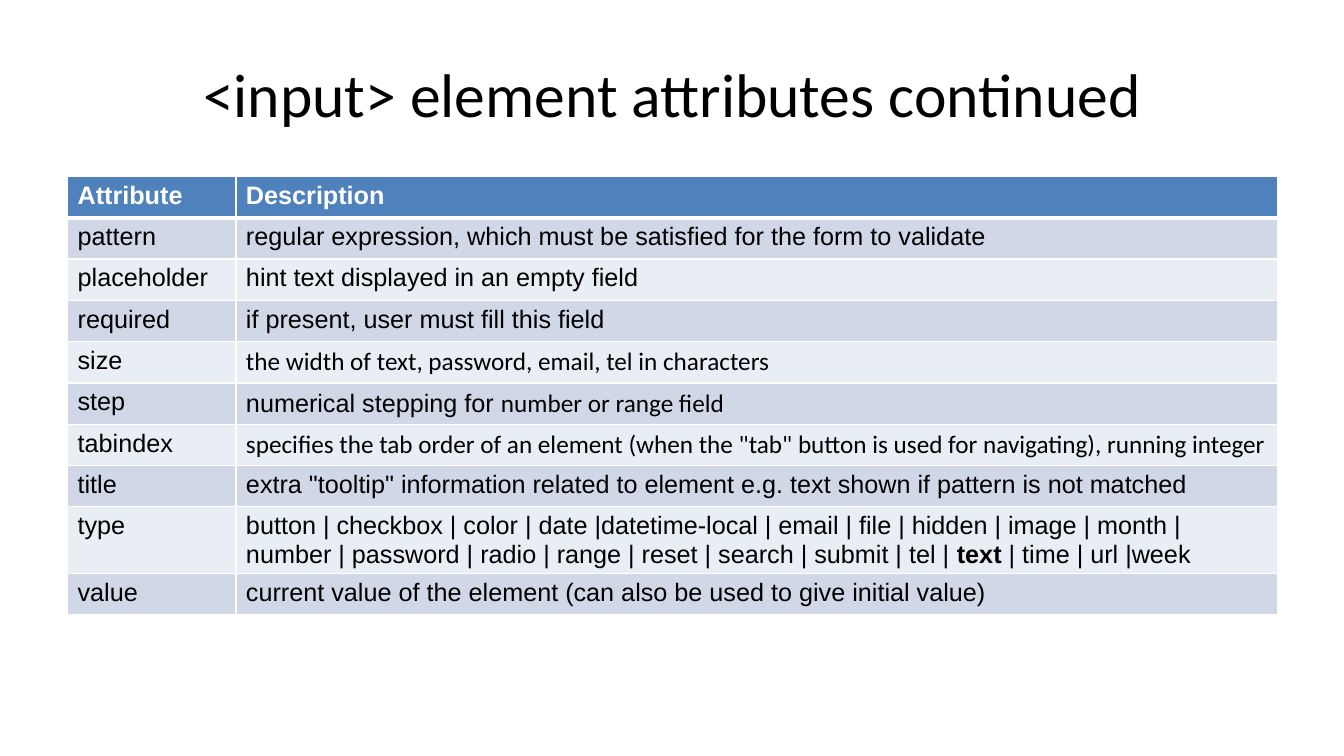
"""Build a slide with a table of further input element attributes."""
import pptx
import pptx.util
import pptx.dml.color
import pptx.enum.text
import pptx.oxml
import pptx.oxml.ns

Inches = pptx.util.Inches
RGBColor = pptx.dml.color.RGBColor
BLACK = RGBColor(0x00, 0x00, 0x00)
WHITE = RGBColor(0xFF, 0xFF, 0xFF)
BLUE = RGBColor(0x4F, 0x81, 0xBD)
DARK = RGBColor(0xD0, 0xD8, 0xE8)
LIGHT = RGBColor(0xE9, 0xED, 0xF4)
SANS, BODY = "Arial", "Calibri"

ROWS = [
    ("Attribute", [("Description", SANS, True)]),
    ("pattern", [("regular expression, which must be satisfied for the form to validate", SANS, False)]),
    ("placeholder", [("hint text displayed in an empty field", SANS, False)]),
    ("required", [("if present, user must fill this field", SANS, False)]),
    ("size", [("the width of text, password, email, tel in characters", BODY, False)]),
    ("step", [("numerical stepping for ", SANS, False), ("number or range field", BODY, False)]),
    ("tabindex", [('specifies the tab order of an element (when the "tab" button is used '
                   "for navigating), running integer", BODY, False)]),
    ("title", [('extra "tooltip" information related to element e.g. text shown if '
                "pattern is not matched", SANS, False)]),
    ("type", [("button | checkbox | color | date |datetime-local | email | file | hidden | "
               "image | month | number | password | radio | range | reset | search | "
               "submit | tel | ", SANS, False),
              ("text", SANS, True),
              (" | time | url |week", SANS, False)]),
    ("value", [("current value of the element (can also be used to give initial value)", SANS, False)]),
]


def add_run(para, text, font, size, color, bold=False):
    run = para.add_run()
    run.text = text
    run.font.name = font
    run.font.size = pptx.util.Pt(size)
    run.font.color.rgb = color
    run.font.bold = bold


def add_edge(cell, side, width):
    cell._tc.get_or_add_tcPr().append(pptx.oxml.parse_xml(
        f'<a:ln{side} {pptx.oxml.ns.nsdecls("a")} w="{pptx.util.Pt(width)}">'
        f'<a:solidFill><a:srgbClr val="{WHITE}"/></a:solidFill></a:ln{side}>'))


prs = pptx.Presentation()
prs.slide_width, prs.slide_height = Inches(13.33), Inches(7.5)
slide = prs.slides.add_slide(prs.slide_layouts[5])

title = slide.shapes.title
title.left, title.top = Inches(0.67), Inches(0.3)
title.width, title.height = Inches(12), Inches(1.25)
title.text_frame.vertical_anchor = pptx.enum.text.MSO_ANCHOR.MIDDLE
head = title.text_frame.paragraphs[0]
head.alignment = pptx.enum.text.PP_ALIGN.CENTER
add_run(head, "<input> element attributes continued", BODY, 44, BLACK)

table = slide.shapes.add_table(len(ROWS), 2, Inches(0.67), Inches(1.75),
                               Inches(12), Inches(4.1)).table
table.columns[0].width = Inches(1.67)
table.columns[1].width = Inches(10.33)

for r, (name, runs) in enumerate(ROWS):
    top = r == 0
    table.rows[r].height = Inches(0.41)
    for c, parts in enumerate([[(name, SANS, top)], runs]):
        cell = table.cell(r, c)
        for side, width in zip("LRTB", (1, 1, 3 if r == 1 else 1, 3 if top else 1)):
            add_edge(cell, side, width)
        cell.fill.solid()
        cell.fill.fore_color.rgb = BLUE if top else DARK if r % 2 else LIGHT
        cell.margin_left = cell.margin_right = Inches(0.1)
        cell.margin_top = cell.margin_bottom = Inches(0.05)
        for text, font, bold in parts:
            add_run(cell.text_frame.paragraphs[0], text, font, 18,
                    WHITE if top else BLACK, bold)

prs.save("out.pptx")
